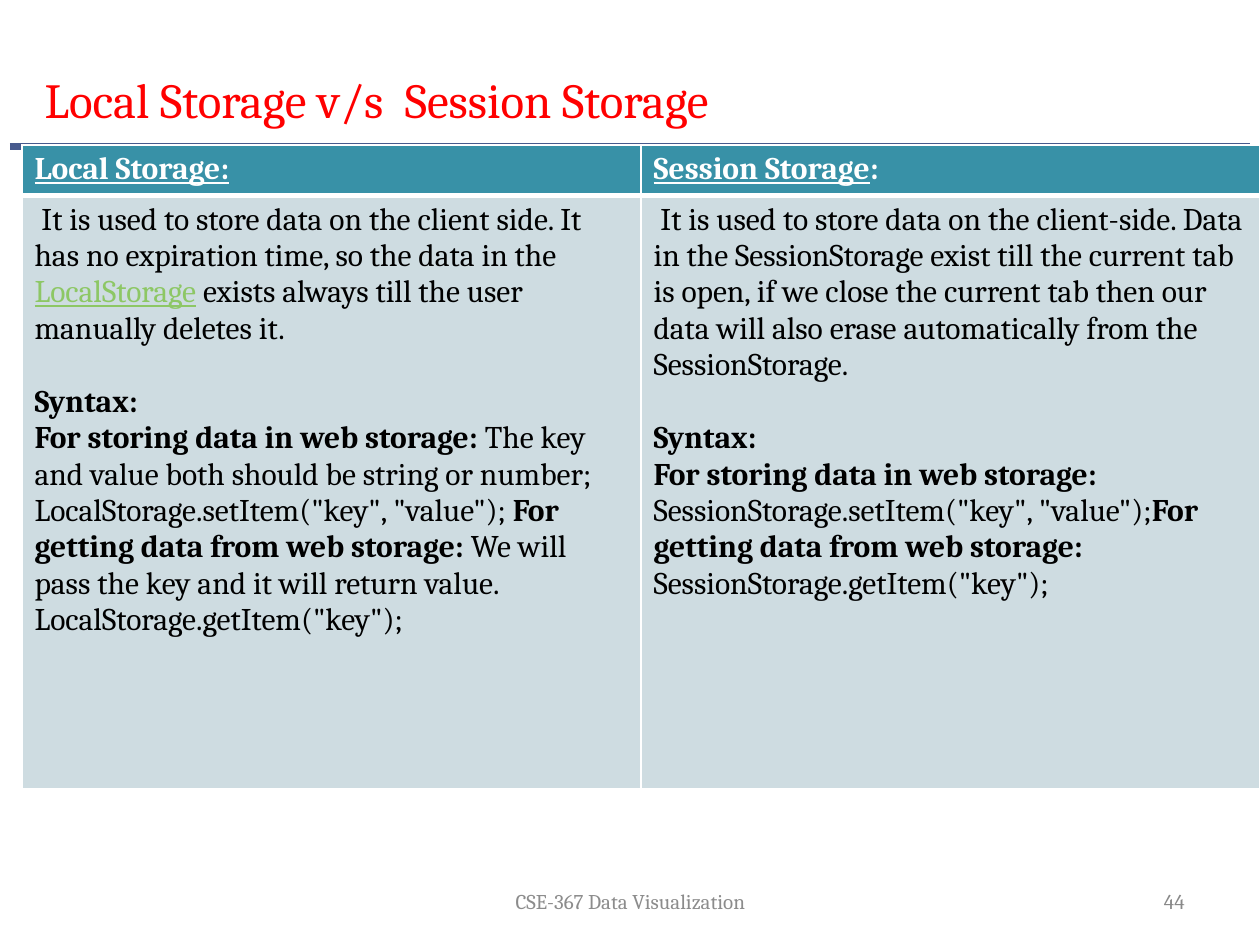
from typing import NamedTuple

from pptx import Presentation
from pptx import util as u
from pptx.dml.color import RGBColor
from pptx.enum import shapes, text
from pptx.oxml import parse_xml
from pptx.oxml.ns import nsdecls

SCALE = 914400 / 126  # EMU per px
FONT = "Cambria"
COLORS = {
    "title": "FF0000", "rule": "475A8D", "footer": "8C8C8C", "number": "898989",
    "head": "3891A7", "body": "CEDCE1", "link": "8DC765",
    "white": "FFFFFF", "black": "000000",
}


class Run(NamedTuple):
    text: str
    bold: bool = False
    underline: bool = False
    color: str = "black"


class Para(NamedTuple):
    runs: list[Run]
    before: int = 0  # points


class Column(NamedTuple):
    head: list[Run]
    body: list[Para]


class Footer(NamedTuple):
    text: str
    left: int
    width: int
    align: text.PP_ALIGN
    color: str


def px(n: int) -> u.Emu:
    return u.Emu(round(n * SCALE))


def rgb(name: str) -> RGBColor:
    return RGBColor.from_string(COLORS[name])


def style(font, size: int, color: str) -> None:
    font.name, font.size = FONT, u.Pt(size)
    font.color.rgb = rgb(color)


def add_rule(slide, x1: int, x2: int, y: int) -> None:
    line = slide.shapes.add_connector(shapes.MSO_CONNECTOR.STRAIGHT, px(x1), px(y), px(x2), px(y))
    line.line.color.rgb = rgb("rule")
    line.line.width = u.Pt(4)
    line._element.spPr.append(parse_xml(f"<a:effectLst {nsdecls('a')}/>"))


def add_footer(slide, footer: Footer) -> None:
    box = slide.shapes.add_textbox(px(footer.left), px(876), px(footer.width), px(50))
    tf = box.text_frame
    tf.word_wrap = True
    tf.vertical_anchor = text.MSO_ANCHOR.MIDDLE
    p = tf.paragraphs[0]
    p.text, p.alignment = footer.text, footer.align
    style(p.font, 12, footer.color)


def set_borders(cell, **points: int) -> None:
    tc_pr = cell._tc.get_or_add_tcPr()
    for side in "LRTB":
        width = u.Pt(points.get(side, 1))
        tc_pr.append(parse_xml(
            f'<a:ln{side} {nsdecls("a")} w="{width}"><a:solidFill>'
            f'<a:srgbClr val="{COLORS["white"]}"/></a:solidFill></a:ln{side}>'))


def fill_cell(cell, paras: list[Para], fill: str) -> None:
    cell.fill.solid()
    cell.fill.fore_color.rgb = rgb(fill)
    tf = cell.text_frame
    for i, para in enumerate(paras):
        p = tf.add_paragraph() if i else tf.paragraphs[0]
        p.space_before = u.Pt(para.before)
        for run in para.runs:
            r = p.add_run()
            r.text = run.text
            style(r.font, 18, run.color)
            r.font.bold, r.font.underline = run.bold, run.underline


def add_comparison(slide, columns: list[Column]) -> None:
    width, heights = 619, (49, 593)
    table = slide.shapes.add_table(2, len(columns), px(22), px(145),
                                   px(width * len(columns)), px(sum(heights))).table
    table.horz_banding = False
    for row, height in zip(table.rows, heights):
        row.height = px(height)
    for i, column in enumerate(columns):
        table.columns[i].width = px(width)
        head, body = table.cell(0, i), table.cell(1, i)
        set_borders(head, B=3)
        set_borders(body, T=3)
        fill_cell(head, [Para(column.head)], "head")
        fill_cell(body, column.body, "body")


SYNTAX = Para([Run("Syntax:", bold=True)], before=21)  # one line of space above

COLUMNS = [
    Column(
        [Run("Local Storage:", True, True, "white")],
        [
            Para([
                Run(" It is used to store data on the client side. It has no expiration time, "
                    "so the data in the "),
                Run("LocalStorage", underline=True, color="link"),
                Run(" exists always till the user manually deletes it."),
            ]),
            SYNTAX,
            Para([Run("For storing data in web storage: ", True),
                  Run("The key and value both should be string or number;")]),
            Para([Run('LocalStorage.setItem("key", "value"); '),
                  Run("For getting data from web storage: ", True),
                  Run("We will pass the key and it will return value.")]),
            Para([Run('LocalStorage.getItem("key");')]),
        ],
    ),
    Column(
        [Run("Session Storage", True, True, "white"), Run(":", True, False, "white")],
        [
            Para([Run(" It is used to store data on the client-side. Data in the SessionStorage "
                      "exist till the current tab is open, if we close the current tab then our "
                      "data will also erase automatically from the SessionStorage.")]),
            SYNTAX,
            Para([Run("For storing data in web storage:", True)]),
            Para([Run('SessionStorage.setItem("key", "value");'),
                  Run("For getting data from web storage:", True)]),
            Para([Run('SessionStorage.getItem("key");')]),
        ],
    ),
]

FOOTERS = [
    Footer("CSE-367 Data Visualization", 431, 399, text.PP_ALIGN.CENTER, "footer"),
    Footer("44", 903, 294, text.PP_ALIGN.RIGHT, "number"),
]


def main() -> None:
    prs = Presentation()
    prs.slide_width, prs.slide_height = px(1260), px(945)
    slide = prs.slides.add_slide(prs.slide_layouts[5])

    # Title
    title = slide.shapes.title
    title.left, title.top, title.width, title.height = px(32), px(63), px(1040), px(72)
    tf = title.text_frame
    tf.auto_size = text.MSO_AUTO_SIZE.SHAPE_TO_FIT_TEXT
    tf.vertical_anchor = text.MSO_ANCHOR.TOP
    p = tf.paragraphs[0]
    p.text, p.alignment = "Local Storage v/s  Session Storage", text.PP_ALIGN.LEFT
    style(p.font, 28, "title")

    # Rule, footers and comparison table
    add_rule(slide, 10, 1250, 147)
    for footer in FOOTERS:
        add_footer(slide, footer)
    add_comparison(slide, COLUMNS)

    prs.save("out.pptx")


if __name__ == "__main__":
    main()
